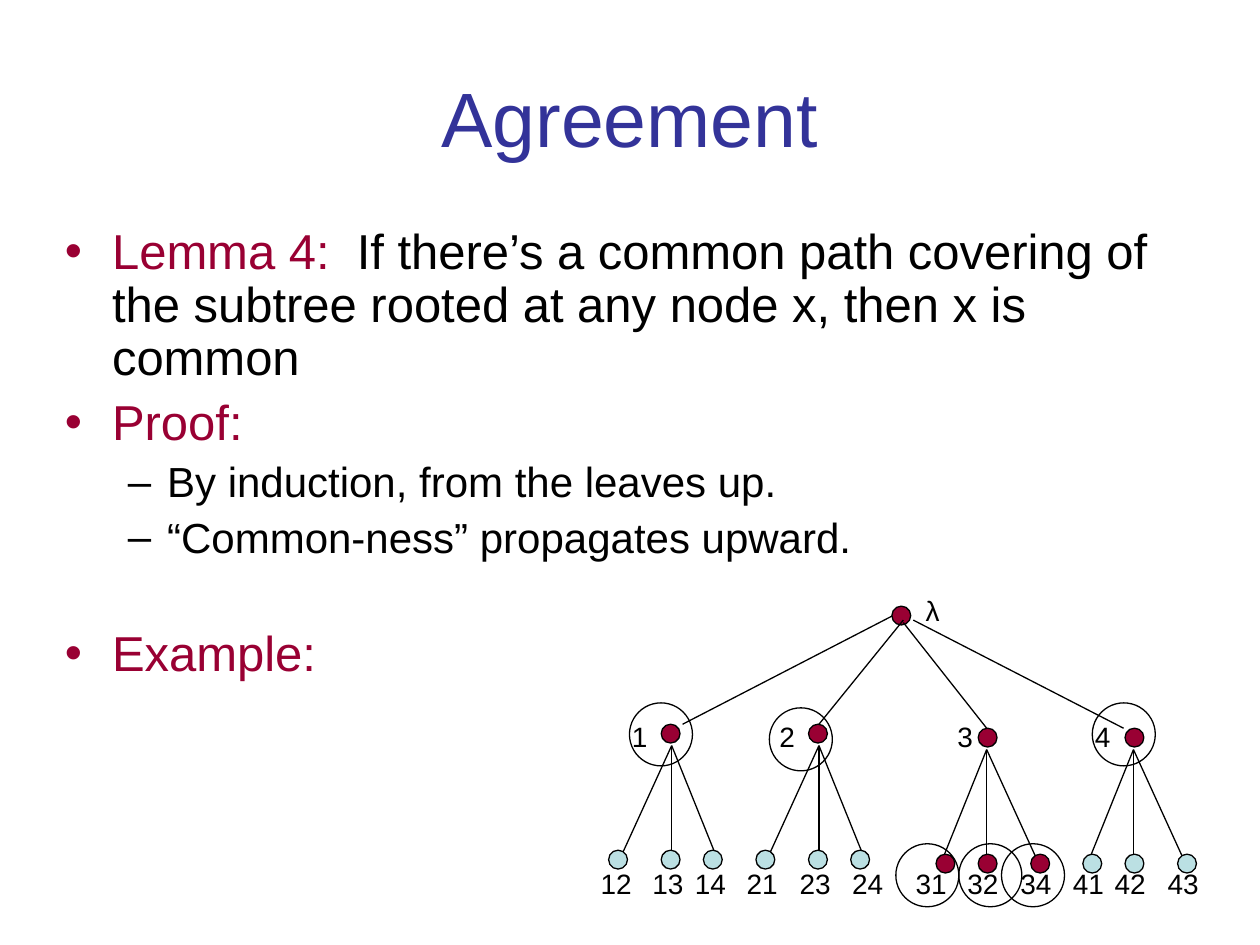
from lxml import etree
from pptx import Presentation
from pptx.dml.color import RGBColor
from pptx.enum.shapes import MSO_CONNECTOR, MSO_SHAPE
from pptx.enum.text import MSO_ANCHOR, PP_ALIGN
from pptx.oxml.ns import qn
from pptx.util import Cm, Pt

LINE = MSO_CONNECTOR.STRAIGHT
OVAL = MSO_SHAPE.OVAL
LEFT, CENTER = PP_ALIGN.LEFT, PP_ALIGN.CENTER
TOP, MIDDLE = MSO_ANCHOR.TOP, MSO_ANCHOR.MIDDLE

COLORS = {"title": "333399", "common": "990033", "leaf": "BBE0E3", "ink": "000000"}
FONT = "Arial"
DOT, RING = 0.38, 1.27
LEAF_DROP = 2.54
NODE_LABEL_TOP, LEAF_LABEL_TOP = 2.54, 5.5

# Lengths in cm: x is the node's centre in the tree, label and ring offsets count from it.
BRANCHES = [
    dict(name="1", x=1.67, top=2.75, side=1, label_dx=-1.03, leaf_color="leaf",
         leaves={"12": -1.66, "13": -0.62, "14": 0.24}, rings=[(-0.83, 2.32)],
         root_edge=(-0.19, 0.57), node_dx=0.24),
    dict(name="2", x=4.64, top=2.75, side=1, label_dx=-1.03, leaf_color="leaf",
         leaves={"21": -1.69, "23": -0.62, "24": 0.44}, rings=[(-0.98, 2.42)],
         root_edge=(0.04, 0.65), node_dx=0.02),
    dict(name="3", x=8.06, top=2.83, side=-1, label_dx=-0.86, leaf_color="common",
         leaves={"31": -1.7, "32": -0.66, "34": 0.41},
         rings=[(-1.85, 5.16), (-0.58, 5.16), (0.28, 5.16)],
         root_edge=(0.04, 0.7), node_dx=-0.02),
    dict(name="4", x=11.02, top=2.83, side=-1, label_dx=-1.05, leaf_color="leaf",
         leaves={"41": -1.49, "42": -0.65, "43": 0.42}, rings=[(-0.85, 2.32)],
         root_edge=(0.24, 0.65), node_dx=-0.22),
]


def rgb(name):
    return RGBColor.from_string(COLORS[name])


def add_bullet(paragraph, char, color, margin, hanging):
    props = paragraph._p.get_or_add_pPr()
    props.set("marL", str(Cm(margin)))
    props.set("indent", str(-Cm(hanging)))
    bullet_color = etree.SubElement(props, qn("a:buClr"))
    etree.SubElement(bullet_color, qn("a:srgbClr")).set("val", COLORS[color])
    etree.SubElement(props, qn("a:buFont")).set("typeface", FONT)
    etree.SubElement(props, qn("a:buChar")).set("char", char)


def write(paragraph, text, size=16, color="ink", align=LEFT):
    paragraph.alignment = align
    run = paragraph.add_run()
    run.text = text
    run.font.name = FONT
    run.font.size = Pt(size)
    run.font.color.rgb = rgb(color)


def add_frame(shapes, left, top, width, height, anchor=TOP):
    frame = shapes.add_textbox(Cm(left), Cm(top), Cm(width), Cm(height)).text_frame
    frame.word_wrap = True
    frame.vertical_anchor = anchor
    return frame


def add_label(shapes, text, left, top):
    width = 0.82 if len(text) == 1 else 1.22
    write(add_frame(shapes, left, top, width, 0.94).paragraphs[0], text)


def add_circle(shapes, left, top, size, fill=None):
    circle = shapes.add_shape(OVAL, Cm(left), Cm(top), Cm(size), Cm(size))
    circle.shadow.inherit = False
    circle.line.color.rgb = rgb("ink")
    circle.line.width = Pt(0.75)
    if fill:
        circle.fill.solid()
        circle.fill.fore_color.rgb = rgb(fill)
    else:
        circle.fill.background()


def add_edge(shapes, x1, y1, x2, y2):
    edge = shapes.add_connector(LINE, Cm(x1), Cm(y1), Cm(x2), Cm(y2))
    edge.line.color.rgb = rgb("ink")
    edge.line.width = Pt(0.75)
    etree.SubElement(edge._element.spPr, qn("a:effectLst"))


def add_title(slide, left, top, width, height):
    frame = add_frame(slide.shapes, left, top, width, height, MIDDLE)
    write(frame.paragraphs[0], "Agreement", size=44, color="title", align=CENTER)


def add_proof(slide, left, top, width, height):
    frame = add_frame(slide.shapes, left, top, width, height)
    # Level, space before in points, then the runs with their colours.
    points = [
        (0, 0, [("Lemma 4:", "common"),
                ("  If there’s a common path covering of the subtree rooted "
                 "at any node x, then x is common", "ink")]),
        (0, 7, [("Proof:", "common")]),
        (1, 6, [("By induction, from the leaves up.", "ink")]),
        (1, 6, [("“Common-ness” propagates upward.", "ink")]),
        (0, 38, [("Example:", "common")]),
    ]
    for index, (level, space, runs) in enumerate(points):
        paragraph = frame.add_paragraph() if index else frame.paragraphs[0]
        paragraph.level = level
        paragraph.line_spacing = 0.9
        paragraph.space_before = Pt(space)
        if level:
            add_bullet(paragraph, "–", "ink", margin=2.06, hanging=0.79)
        else:
            add_bullet(paragraph, "•", "common", margin=0.95, hanging=0.95)
        for text, color in runs:
            write(paragraph, text, size=24 if level else 28, color=color)


def add_branch(shapes, left, top, branch):
    """Draw a node with its three leaves; side -1 mirrors the spread."""
    x, node_top, side = left + branch["x"], top + branch["top"], branch["side"]
    leaf_top = node_top + LEAF_DROP
    spread = [(-1.06, 0.21), (0, 0), (0.85, 0)]
    for dx, overlap in spread:
        add_edge(shapes, x + side * 0.02, node_top + 0.43,
                 x + side * (dx + 0.02), leaf_top + overlap)
    for dx, _ in spread:
        add_circle(shapes, x + side * dx - DOT / 2, leaf_top, DOT, branch["leaf_color"])
    add_circle(shapes, x - DOT / 2, node_top, DOT, "common")
    add_label(shapes, branch["name"], x + branch["label_dx"], top + NODE_LABEL_TOP)
    for name, dx in branch["leaves"].items():
        add_label(shapes, name, x + dx, top + LEAF_LABEL_TOP)
    for dx, ring_top in branch["rings"]:
        add_circle(shapes, x + dx, top + ring_top, RING)


def add_tree(slide, left, top):
    shapes = slide.shapes.add_group_shape().shapes
    root_x = left + 6.32
    add_circle(shapes, root_x - DOT / 2, top + 0.37, DOT, "common")
    add_label(shapes, "λ", root_x + 0.24, top)
    for branch in BRANCHES:
        dx, dy = branch["root_edge"]
        add_edge(shapes, root_x + dx, top + dy,
                 left + branch["x"] + branch["node_dx"], top + branch["top"])
        add_branch(shapes, left, top, branch)


def main():
    deck = Presentation()
    deck.slide_width, deck.slide_height = Cm(25.4), Cm(19.05)
    slide = deck.slides.add_slide(deck.slide_layouts[6])
    add_title(slide, 1.27, 0.76, 22.86, 3.18)
    add_proof(slide, 1.06, 4.45, 23.7, 9.73)
    add_tree(slide, 11.85, 11.85)
    deck.save("out.pptx")


if __name__ == "__main__":
    main()
